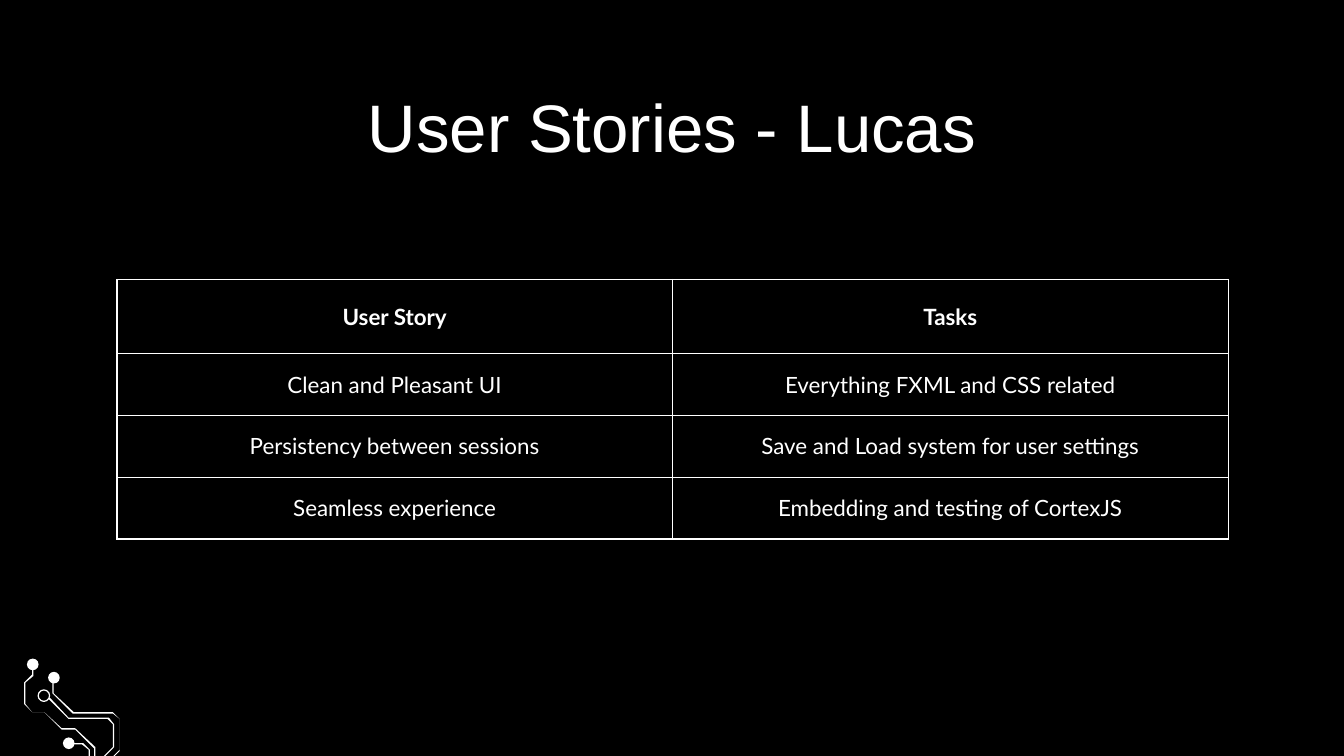
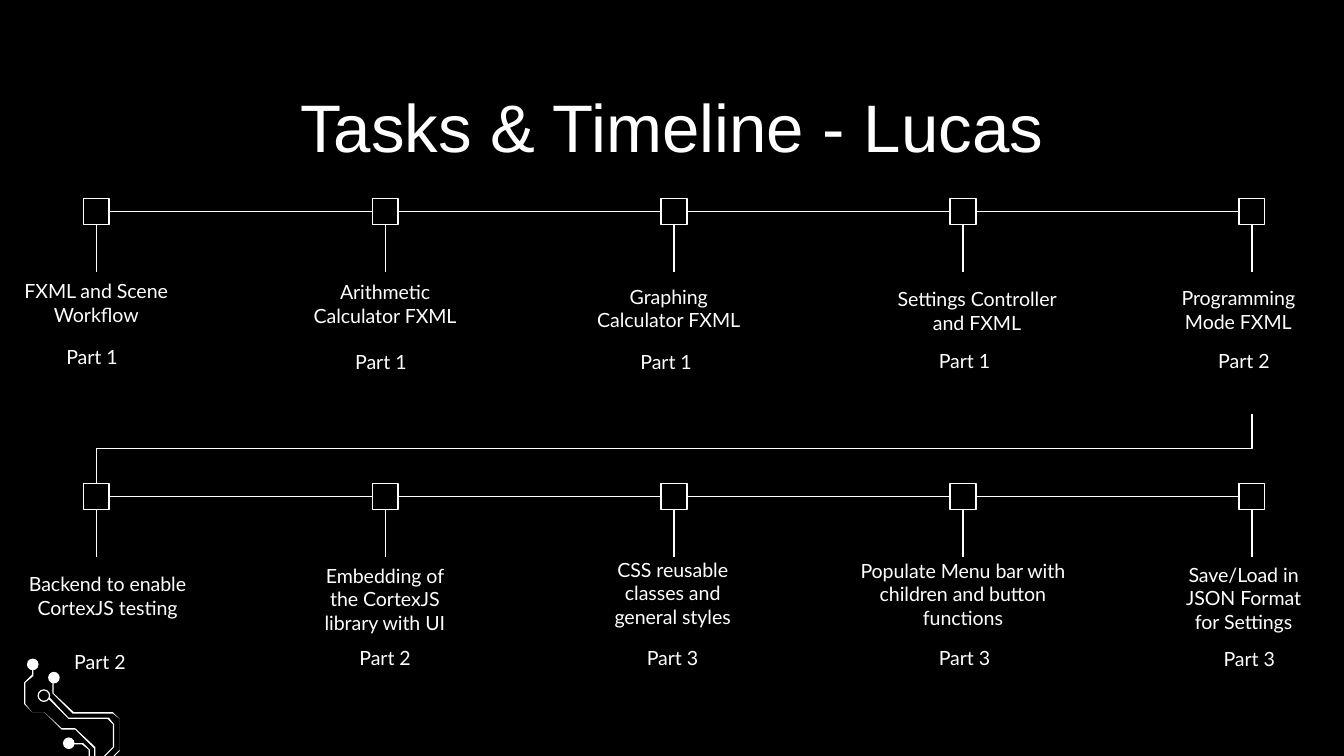
from dataclasses import dataclass

from lxml import etree
from pptx import Presentation
from pptx import util as u
from pptx.dml.color import RGBColor
from pptx.enum import shapes, text
from pptx.oxml.ns import qn


@dataclass(frozen=True)
class Theme:
    """Colours, fonts and type sizes of the deck."""
    back: RGBColor = RGBColor(0, 0, 0)
    ink: RGBColor = RGBColor(255, 255, 255)
    head: str = "Arial"
    body: str = "Lato"
    big: float = 36
    cell: float = 12
    note: float = 10.5
    rule: float = 0.75


T = Theme()
UNIT = u.Cm(0.0254)
TRACES = [
    [(102, 669), (71, 639), (71, 556), (56, 542), (46, 542), (33, 530), (24, 530),
     (19, 524), (19, 508), (25, 503), (25, 497), (24, 497), (24, 502), (18, 508),
     (18, 524), (24, 530), (33, 530), (46, 543), (56, 543), (70, 557), (70, 639),
     (101, 670), (101, 706), (89, 719), (85, 719), (98, 706), (98, 669), (67, 639),
     (67, 558), (62, 553), (53, 553), (53, 554), (61, 554), (66, 558), (66, 639),
     (97, 670), (97, 706), (82, 720), (89, 720), (102, 706)],
    [(106, 668), (74, 637), (74, 567), (85, 556), (85, 539), (81, 534), (51, 534),
     (37, 519), (36, 520), (51, 535), (80, 535), (84, 539), (84, 556), (73, 567),
     (73, 637), (105, 668), (105, 719), (97, 727), (98, 727), (106, 719)],
    [(109, 665), (79, 635), (79, 569), (89, 559), (89, 535), (84, 530), (55, 530),
     (40, 516), (40, 507), (39, 507), (39, 516), (54, 531), (84, 531), (89, 535),
     (89, 558), (78, 569), (78, 635), (108, 666), (108, 869), (109, 869)],
]
DOTS = [(0.91, 12.7), (0.51, 12.45), (1.19, 13.94)]
RING = (0.71, 13.03)

STORIES = [
    ("User Story", "Tasks"),
    ("Clean and Pleasant UI", "Everything FXML and CSS related"),
    ("Persistency between sessions", "Save and Load system for user settings"),
    ("Seamless experience", "Embedding and testing of CortexJS"),
]

LEFT, STEP, SIDE, STEM = 1.82, 5.46, 0.49, 1.14
ROWS = [
    (4.0, [
        ("FXML and Scene Workflow", (0.13, 5.03, 3.38), "Part 1", (0.05, 6.3)),
        ("Arithmetic Calculator FXML", (5.59, 5.05, 3.38), "Part 1", (5.51, 6.4)),
        ("Graphing Calculator FXML", (10.95, 5.13, 3.38), "Part 1", (10.9, 6.4)),
        ("Settings Controller and FXML", (16.61, 5.18, 3.71), "Part 1", (16.54, 6.38)),
        ("Programming Mode FXML", (21.92, 5.16, 2.97), "Part 2", (21.82, 6.38)),
    ]),
    (9.39, [
        ("Backend to enable CortexJS testing", (0.18, 10.57, 3.71), "Part 2", (0.2, 12.07)),
        ("Embedding of the CortexJS library with UI", (5.79, 10.41, 2.97),
         "Part 2", (5.59, 11.99)),
        ("CSS reusable classes and general styles", (11.23, 10.29, 2.97),
         "Part 3", (11.02, 11.99)),
        ("Populate Menu bar with children and button functions", (15.9, 10.31, 4.6),
         "Part 3", (16.54, 11.99)),
        ("Save/Load in JSON Format for Settings", (22.02, 10.39, 2.97),
         "Part 3", (21.92, 12.01)),
    ]),
]


def cm(*nums):
    """Turn numbers into centimetre lengths."""
    return [u.Cm(n) for n in nums]


def style(para, words, face, size, bold=False):
    """Write centred words in one font."""
    para.text = words
    para.alignment = text.PP_ALIGN.CENTER
    font = para.font
    font.name, font.size, font.bold = face, u.Pt(size), bold
    font.color.rgb = T.ink


def label(slide, words, box, face=T.body, size=T.note, top=0.25):
    """Add a centred text box."""
    frame = slide.shapes.add_textbox(*cm(*box)).text_frame
    frame.word_wrap = True
    frame.margin_left = frame.margin_right = frame.margin_bottom = u.Cm(0.25)
    frame.margin_top = u.Cm(top)
    style(frame.paragraphs[0], words, face, size)


def solid(shape):
    """Fill a shape with ink and drop its outline."""
    shape.shadow.inherit = False
    shape.fill.solid()
    shape.fill.fore_color.rgb = T.ink
    shape.line.fill.background()


def pen(line):
    """Set the common line look."""
    line.color.rgb = T.ink
    line.width = u.Pt(T.rule)


def link(slide, ends, kind=shapes.MSO_CONNECTOR.STRAIGHT):
    """Add a connector between two points."""
    wire = slide.shapes.add_connector(kind, *cm(*ends))
    pen(wire.line)
    etree.SubElement(wire._element.spPr, qn("a:effectLst"))
    return wire


def node(slide, x, y):
    """Add a hollow square around a point with its stem."""
    half = SIDE / 2
    box = slide.shapes.add_shape(
        shapes.MSO_SHAPE.RECTANGLE, *cm(x - half, y - half, SIDE, SIDE))
    box.shadow.inherit = False
    box.fill.background()
    pen(box.line)
    link(slide, (x, y + half, x, y + STEM))


def circuit(slide):
    """Draw the circuit traces in the lower left corner."""
    for first, *rest in TRACES:
        path = slide.shapes.build_freeform(*first, scale=UNIT)
        path.add_line_segments(rest, close=True)
        solid(path.convert_to_shape())
    for x, y in DOTS:
        solid(slide.shapes.add_shape(shapes.MSO_SHAPE.OVAL, *cm(x, y, 0.22, 0.22)))
    ring = slide.shapes.add_shape(shapes.MSO_SHAPE.DONUT, *cm(*RING, 0.24, 0.24))
    ring.adjustments[0] = 0.1
    solid(ring)


def page(deck, title):
    """Start a slide with its circuit and title."""
    slide = deck.slides.add_slide(deck.slide_layouts[6])
    circuit(slide)
    label(slide, title, (2, 1.24, 21.4, 1.6), T.head, T.big, 0.38)
    return slide


def edge(cell):
    """Give a cell thin borders on all sides."""
    props = cell._tc.get_or_add_tcPr()
    for side in ("lnL", "lnR", "lnT", "lnB"):
        line = etree.SubElement(props, qn("a:" + side), w=str(u.Pt(T.rule)))
        fill = etree.SubElement(line, qn("a:solidFill"))
        etree.SubElement(fill, qn("a:srgbClr"), val=str(T.ink))


def grid(slide, rows):
    """Add the table of stories and tasks."""
    table = slide.shapes.add_table(
        len(rows), len(rows[0]), *cm(2.21, 5.28, 21, 4.91)).table
    table.first_row = table.horz_banding = False
    for r, row in enumerate(rows):
        table.rows[r].height = u.Cm(1.17 if r else 1.4)
        for c, words in enumerate(row):
            cell = table.cell(r, c)
            edge(cell)
            cell.fill.background()
            cell.vertical_anchor = text.MSO_ANCHOR.MIDDLE
            cell.margin_top = cell.margin_bottom = u.Cm(0 if r else 0.13)
            style(cell.text_frame.paragraphs[0], words, T.body, T.cell, r == 0)


def track(slide, y, steps):
    """Add one row of the timeline."""
    for i, (words, spot, part, place) in enumerate(steps):
        x = LEFT + i * STEP
        node(slide, x, y)
        if i:
            link(slide, (x - STEP + SIDE / 2, y, x - SIDE / 2, y))
        label(slide, words, (*spot, 2.36 if x > LEFT or y > 5 else 1.35))
        label(slide, part, (*place, 3.38, 1.35))


def turn(slide, top, low):
    """Join the end of the first row to the start of the second."""
    span = 4 * STEP
    wide = low - top
    x, y = LEFT + (span - wide) / 2, (top + low - span) / 2
    wire = link(slide, (x, y, x + wide, y + span), shapes.MSO_CONNECTOR.ELBOW)
    wire.rotation = 90


def main():
    """Build and save the deck."""
    deck = Presentation()
    deck.slide_width, deck.slide_height = cm(25.4, 14.29)
    fill = deck.slide_master.background.fill
    fill.solid()
    fill.fore_color.rgb = T.back

    grid(page(deck, "User Stories - Lucas"), STORIES)

    slide = page(deck, "Tasks & Timeline - Lucas")
    for y, steps in ROWS:
        track(slide, y, steps)
    turn(slide, 7.82, ROWS[1][0] - SIDE / 2)

    deck.save("out.pptx")


if __name__ == "__main__":
    main()
